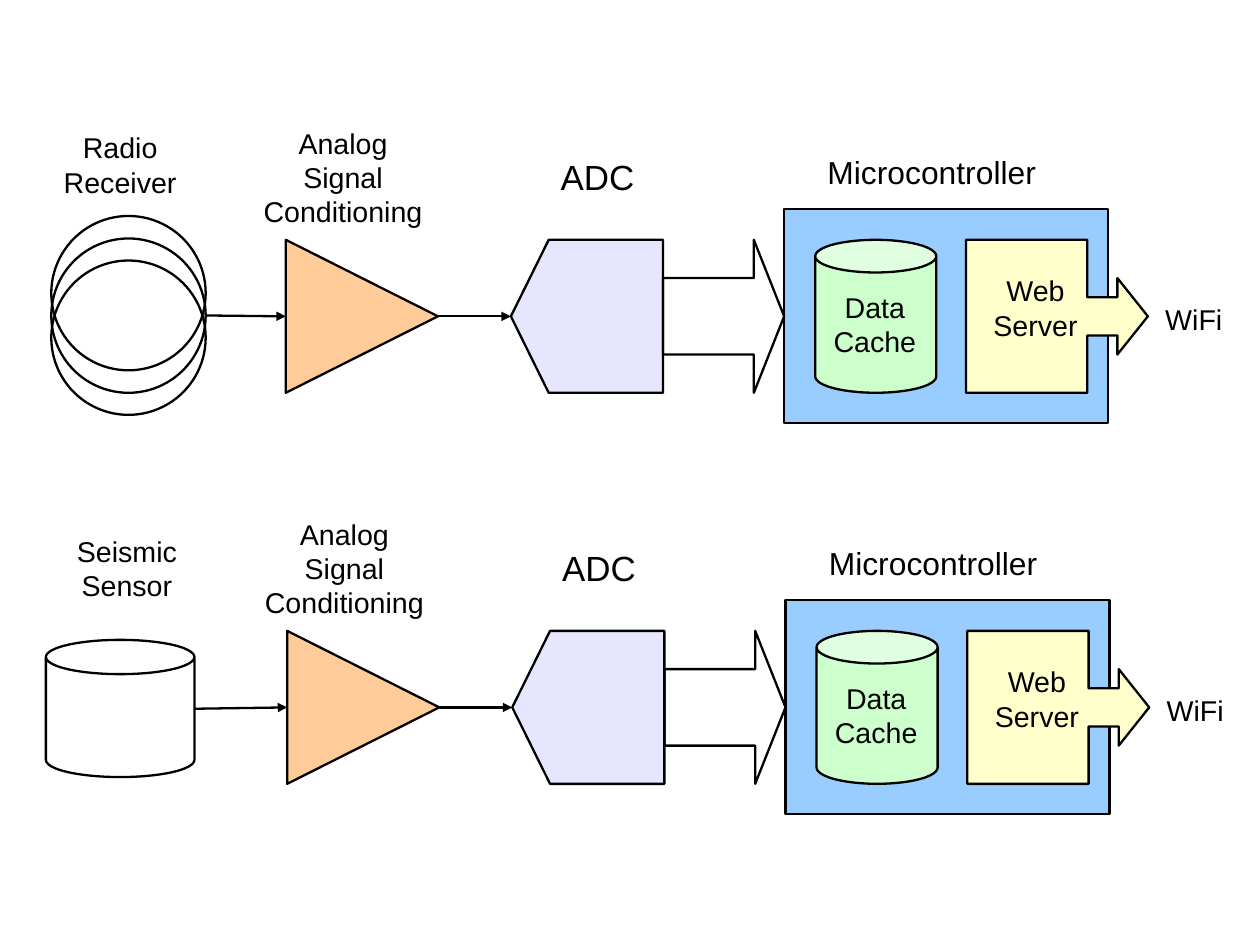
from dataclasses import dataclass

from lxml.etree import SubElement
from pptx import Presentation
from pptx.dml.color import RGBColor
from pptx.enum.shapes import MSO_CONNECTOR as Line, MSO_SHAPE as Preset
from pptx.enum.text import MSO_ANCHOR as Anchor, PP_ALIGN as Align
from pptx.oxml.ns import qn
from pptx.util import Cm, Pt


@dataclass(frozen=True)
class Theme:
    font: str = "Arial"
    ink: str = "000000"
    amplifier: str = "FFCC99"
    adc: str = "E6E6FF"
    controller: str = "99CCFF"
    cache: str = "CCFFCC"
    server: str = "FFFFCC"
    stroke: float = 1.45
    body: int = 18
    heading: int = 20
    large: int = 22


THEME = Theme()

# Lengths are centimetres: left, top, width, height, within the upper chain.
STAGE_TOP, STAGE_H = 5.33, 3.4
MIDDLE = STAGE_TOP + STAGE_H / 2
AMPLIFIER_X, ADC_X, BUS_X, CONTROLLER_X = 6.35, 11.35, 14.73, 17.42
STAGE_W = 3.38
ADC_NOTCH = 0.84

STAGE_LABELS = [
    (["Microcontroller"], (17.7, 2.54, 6, 2.54), THEME.heading),
    (["Data", "Cache"], (18.1, 6.02, 2.67, 2.36), THEME.body),
    (["Web", "Server"], (21.72, 5.64, 2.57, 2.39), THEME.body),
    (["ADC"], (12.13, 3.37, 2.29, 1.12), THEME.large),
    (["Analog", "Signal", "Conditioning"], (5.59, 2.74, 4.06, 2.39), THEME.body),
    (["WiFi"], (25.63, 6.6, 1.78, 0.97), THEME.body),
]

PRESET_STAGES = [
    (Preset.RECTANGLE, (CONTROLLER_X, 4.65, 7.2, 4.75), THEME.controller, []),
    (Preset.CAN, (18.11, STAGE_TOP, 2.69, STAGE_H), THEME.cache, [0.27]),
    (Preset.RIGHT_ARROW_CALLOUT, (21.46, STAGE_TOP, 4.04, STAGE_H),
     THEME.server, [0.25, 0.25, 0.199, 0.667]),
    (Preset.RIGHT_ARROW, (BUS_X, STAGE_TOP, CONTROLLER_X - BUS_X, STAGE_H),
     None, [0.5, 0.25]),
]

COIL = 3.43
CHAINS = [
    {
        "offset": (0, 0),
        "source": ["Radio", "Receiver"],
        "label_at": (1.02, 2.74, 3.3, 1.83),
        "symbols": [(Preset.OVAL, (1.14, top, COIL, COIL), [])
                    for top in (4.8, 5.79, 5.3)],
        "output": (4.55, 7.01),
    },
    {
        "offset": (0.03, 8.69),
        "source": ["Seismic", "Sensor"],
        "label_at": (1.04, 11.79, 3.56, 1.68),
        "symbols": [(Preset.CAN, (1.02, 14.22, 3.3, 3.05), [0.25])],
        "output": (4.32, 15.75),
    },
]


def finish(shape, fill):
    """Set the fill (None for an empty shape) and the black outline."""
    shape.shadow.inherit = False
    if fill:
        shape.fill.solid()
        shape.fill.fore_color.rgb = RGBColor.from_string(fill)
    else:
        shape.fill.background()
    shape.line.color.rgb = RGBColor.from_string(THEME.ink)
    shape.line.width = Pt(THEME.stroke)


def add_preset(slide, preset, box, fill, adjustments):
    shape = slide.shapes.add_shape(preset, *map(Cm, box))
    for index, value in enumerate(adjustments):
        shape.adjustments[index] = value
    finish(shape, fill)


def add_polygon(slide, points, fill):
    start, *rest = [(Cm(x), Cm(y)) for x, y in points]
    builder = slide.shapes.build_freeform(*start, scale=1.0)
    builder.add_line_segments(rest, close=True)
    finish(builder.convert_to_shape(), fill)


def add_arrow(slide, start, end):
    arrow = slide.shapes.add_connector(Line.STRAIGHT, *map(Cm, (*start, *end)))
    arrow.line.color.rgb = RGBColor.from_string(THEME.ink)
    arrow.line.width = Pt(THEME.stroke)
    properties = arrow.element.spPr
    SubElement(properties.find(qn("a:ln")), qn("a:tailEnd"), type="triangle")
    SubElement(properties, qn("a:effectLst"))


def add_label(slide, lines, box, size):
    frame = slide.shapes.add_textbox(*map(Cm, box)).text_frame
    frame.word_wrap = False
    frame.vertical_anchor = Anchor.MIDDLE
    for index, line in enumerate(lines):
        paragraph = frame.add_paragraph() if index else frame.paragraphs[0]
        paragraph.alignment = Align.CENTER
        run = paragraph.add_run()
        run.text = line
        run.font.name = THEME.font
        run.font.size = Pt(size)
        run.font.color.rgb = RGBColor.from_string(THEME.ink)


def add_chain(slide, chain):
    """Draw one signal chain, from its source to the WiFi output."""
    dx, dy = chain["offset"]

    def shift(x, y, *size):
        return (x + dx, y + dy, *size)

    for preset, box, adjustments in chain["symbols"]:
        add_preset(slide, preset, box, None, adjustments)

    bottom = STAGE_TOP + STAGE_H
    amplifier_tip = shift(AMPLIFIER_X + STAGE_W, MIDDLE)
    add_polygon(slide, [shift(AMPLIFIER_X, STAGE_TOP), amplifier_tip,
                        shift(AMPLIFIER_X, bottom)], THEME.amplifier)
    adc_tip = shift(ADC_X, MIDDLE)
    add_polygon(slide, [shift(BUS_X, STAGE_TOP),
                        shift(ADC_X + ADC_NOTCH, STAGE_TOP), adc_tip,
                        shift(ADC_X + ADC_NOTCH, bottom),
                        shift(BUS_X, bottom)], THEME.adc)
    for preset, box, fill, adjustments in PRESET_STAGES:
        add_preset(slide, preset, shift(*box), fill, adjustments)

    add_arrow(slide, chain["output"], shift(AMPLIFIER_X, MIDDLE))
    add_arrow(slide, amplifier_tip, adc_tip)

    add_label(slide, chain["source"], chain["label_at"], THEME.body)
    for lines, box, size in STAGE_LABELS:
        add_label(slide, lines, shift(*box), size)


def main():
    deck = Presentation()
    deck.slide_width, deck.slide_height = Cm(27.99), Cm(21)
    slide = deck.slides.add_slide(deck.slide_layouts[6])
    for chain in CHAINS:
        add_chain(slide, chain)
    deck.save("out.pptx")


if __name__ == "__main__":
    main()
